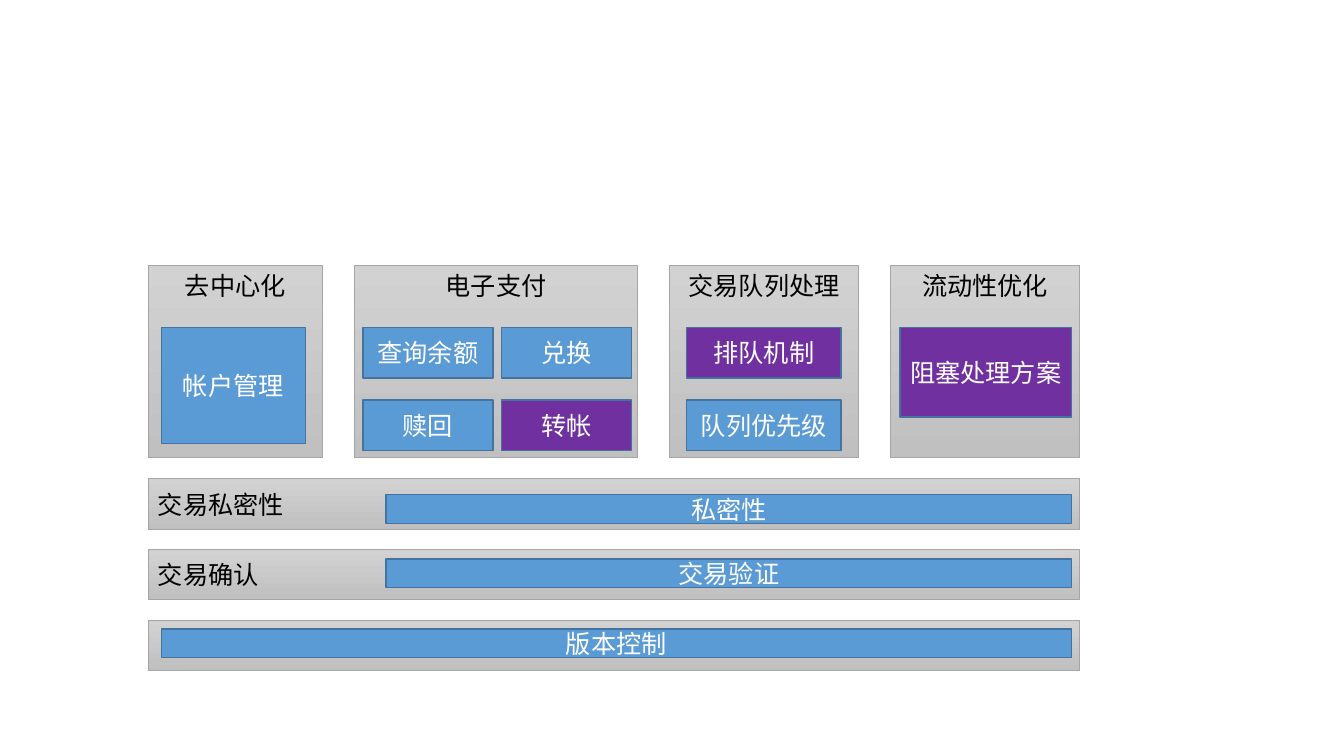
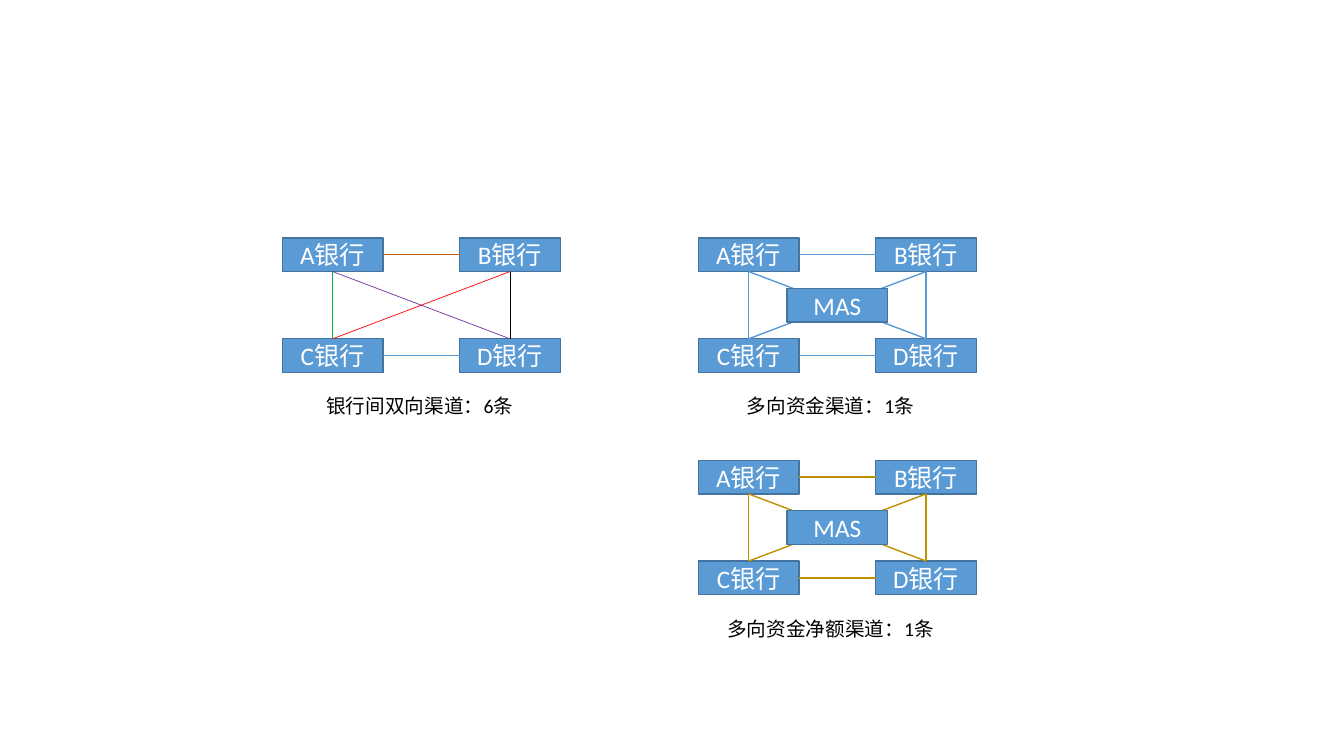
from dataclasses import dataclass

from lxml.etree import SubElement
from pptx import Presentation
from pptx.dml.color import RGBColor
from pptx.enum.shapes import MSO_CONNECTOR, MSO_SHAPE
from pptx.enum.text import MSO_ANCHOR, PP_ALIGN
from pptx.oxml.ns import qn
from pptx.shapes.autoshape import Shape
from pptx.slide import Slide
from pptx.text.text import TextFrame
from pptx.util import Pt

FONT = "Calibri"
COLORS = {
    "blue": "5B9BD5",
    "blue_edge": "43739E",
    "purple": "7030A0",
    "panel_top": "D2D2D2",
    "panel_bottom": "C0C0C0",
    "panel_edge": "A5A5A5",
    "orange": "C55A11",
    "green": "00B050",
    "red": "FF0000",
    "gold": "BF9000",
    "black": "000000",
    "white": "FFFFFF",
}

# Function map
MAP_LEFT, MAP_RIGHT = 105.8, 771.2
PANEL_TOP, PANEL_HEIGHT = 189.4, 137.4
BAND_TOP, BAND_STEP, BAND_HEIGHT = 342, 50.4, 36
ROW_TOP, ROW_STEP, ROW_HEIGHT = 234, 51.8, 36
BAR_RIGHT = 765.4

# Bank networks
NODE_WIDTH, NODE_HEIGHT = 72, 24
COLUMN_STEP, LINE_STEP = 126.7, 72
TOP_SITE, LEFT_SITE, BOTTOM_SITE, RIGHT_SITE = range(4)
BANKS = {"A": (0, 0), "C": (0, 1), "B": (1, 0), "D": (1, 1)}
LINKS = (
    ("A", RIGHT_SITE, "B", LEFT_SITE),
    ("A", BOTTOM_SITE, "D", TOP_SITE),
    ("A", BOTTOM_SITE, "C", TOP_SITE),
    ("D", LEFT_SITE, "C", RIGHT_SITE),
    ("D", TOP_SITE, "B", BOTTOM_SITE),
    ("C", TOP_SITE, "B", BOTTOM_SITE),
)


@dataclass(frozen=True)
class Box:
    left: float
    top: float
    width: float
    height: float


@dataclass(frozen=True)
class Feature:
    name: str
    box: Box
    color: str = "blue"


@dataclass(frozen=True)
class Panel:
    name: str
    left: float
    width: float
    features: tuple[Feature, ...]


@dataclass(frozen=True)
class Band:
    name: str
    bar: Feature


@dataclass(frozen=True)
class Network:
    left: float
    top: float
    link_colors: tuple[str, ...]
    link_width: float
    hub: str
    caption: str
    caption_box: Box


def cell(left: float, row: int, width: float) -> Box:
    return Box(left, ROW_TOP + row * ROW_STEP, width, ROW_HEIGHT)


def bar(left: float, top: float) -> Box:
    return Box(left, top, BAR_RIGHT - left, 20.4)


PANELS = (
    Panel("去中心化", MAP_LEFT, 124.6, (
        Feature("帐户管理", Box(115.2, ROW_TOP, 103, 83)),
    )),
    Panel("电子支付", 253.4, 201.8, (
        Feature("查询余额", cell(259.2, 0, 93)),
        Feature("兑换", cell(358.2, 0, 93)),
        Feature("赎回", cell(259.2, 1, 93)),
        Feature("转帐", cell(358.2, 1, 93), "purple"),
    )),
    Panel("交易队列处理", 478.2, 135.2, (
        Feature("排队机制", cell(490.4, 0, 110.4), "purple"),
        Feature("队列优先级", cell(490.4, 1, 110.4)),
    )),
    Panel("流动性优化", 636, 135.2, (
        Feature("阻塞处理方案", Box(642.8, ROW_TOP, 122.6, 64), "purple"),
    )),
)
BANDS = (
    Band("交易私密性", Feature("私密性", bar(275.8, 353.4))),
    Band("交易确认", Feature("交易验证", bar(275.8, 399.4))),
    Band("", Feature("版本控制", bar(115.2, 449.4))),
)
NETWORKS = (
    Network(201.6, 170, ("orange", "purple", "green", "blue", "black", "red"), 0.5,
            "", "银行间双向渠道：6条", Box(226, 278.2, 149.8, 24.2)),
    Network(498.8, 170, ("blue",) * len(LINKS), 1,
            "MAS", "多向资金渠道：1条", Box(526.4, 277.8, 134.6, 24.2)),
    Network(498.8, 328.8, ("gold",) * len(LINKS), 1,
            "MAS", "多向资金净额渠道：1条", Box(512.4, 437, 163.4, 24.2)),
)


def rgb(color: str) -> RGBColor:
    return RGBColor.from_string(COLORS[color])


def write(frame: TextFrame, words: str, size: float, color: str,
          align: PP_ALIGN, anchor: MSO_ANCHOR) -> None:
    frame.word_wrap = True
    frame.vertical_anchor = anchor
    paragraph = frame.paragraphs[0]
    paragraph.alignment = align
    run = paragraph.add_run()
    run.text = words
    run.font.name = FONT
    run.font.size = Pt(size)
    run.font.color.rgb = rgb(color)


def add_rectangle(slide: Slide, box: Box, edge: str, edge_width: float) -> Shape:
    rectangle = slide.shapes.add_shape(
        MSO_SHAPE.RECTANGLE, Pt(box.left), Pt(box.top), Pt(box.width), Pt(box.height))
    rectangle.shadow.inherit = False
    rectangle.line.color.rgb = rgb(edge)
    rectangle.line.width = Pt(edge_width)
    return rectangle


def add_feature(slide: Slide, feature: Feature) -> Shape:
    block = add_rectangle(slide, feature.box, "blue_edge", 1)
    block.fill.solid()
    block.fill.fore_color.rgb = rgb(feature.color)
    write(block.text_frame, feature.name, 18, "white", PP_ALIGN.CENTER, MSO_ANCHOR.MIDDLE)
    return block


def add_backdrop(slide: Slide, box: Box, name: str,
                 align: PP_ALIGN, anchor: MSO_ANCHOR) -> None:
    """Draw a grey gradient area, with its heading if it has one."""
    backdrop = add_rectangle(slide, box, "panel_edge", 0.5)
    backdrop.fill.gradient()
    backdrop.fill.gradient_angle = 270
    for stop, color in zip(backdrop.fill.gradient_stops, ("panel_top", "panel_bottom")):
        stop.color.rgb = rgb(color)
    if name:
        write(backdrop.text_frame, name, 18, "black", align, anchor)


def add_link(slide: Slide, start: Shape, start_site: int, end: Shape, end_site: int,
             color: str, width: float) -> None:
    link = slide.shapes.add_connector(MSO_CONNECTOR.STRAIGHT, 0, 0, 0, 0)
    link.begin_connect(start, start_site)
    link.end_connect(end, end_site)
    link.line.color.rgb = rgb(color)
    link.line.width = Pt(width)
    SubElement(link._element.spPr, qn("a:effectLst"))


def add_network(slide: Slide, network: Network) -> None:
    def node(name: str, column: float, line: float) -> Shape:
        return add_feature(slide, Feature(name, Box(
            network.left + column * COLUMN_STEP, network.top + line * LINE_STEP,
            NODE_WIDTH, NODE_HEIGHT)))

    banks = {key: node(f"{key}银行", *place) for key, place in BANKS.items()}
    for (start, start_site, end, end_site), color in zip(LINKS, network.link_colors):
        add_link(slide, banks[start], start_site, banks[end], end_site,
                 color, network.link_width)
    if network.hub:
        node(network.hub, 0.5, 0.5)
    box = network.caption_box
    caption = slide.shapes.add_textbox(
        Pt(box.left), Pt(box.top), Pt(box.width), Pt(box.height))
    write(caption.text_frame, network.caption, 14, "black", PP_ALIGN.LEFT, MSO_ANCHOR.TOP)


def build_function_map(slide: Slide) -> None:
    for panel in PANELS:
        add_backdrop(slide, Box(panel.left, PANEL_TOP, panel.width, PANEL_HEIGHT),
                     panel.name, PP_ALIGN.CENTER, MSO_ANCHOR.TOP)
        for feature in panel.features:
            add_feature(slide, feature)
    for index, band in enumerate(BANDS):
        area = Box(MAP_LEFT, BAND_TOP + index * BAND_STEP, MAP_RIGHT - MAP_LEFT, BAND_HEIGHT)
        add_backdrop(slide, area, band.name, PP_ALIGN.LEFT, MSO_ANCHOR.MIDDLE)
        add_feature(slide, band.bar)


def build_channels(slide: Slide) -> None:
    for network in NETWORKS:
        add_network(slide, network)


def main() -> None:
    presentation = Presentation()
    presentation.slide_width = Pt(960)
    presentation.slide_height = Pt(540)
    blank = presentation.slide_layouts[6]
    for build in (build_function_map, build_channels):
        build(presentation.slides.add_slide(blank))
    presentation.save("out.pptx")


if __name__ == "__main__":
    main()
